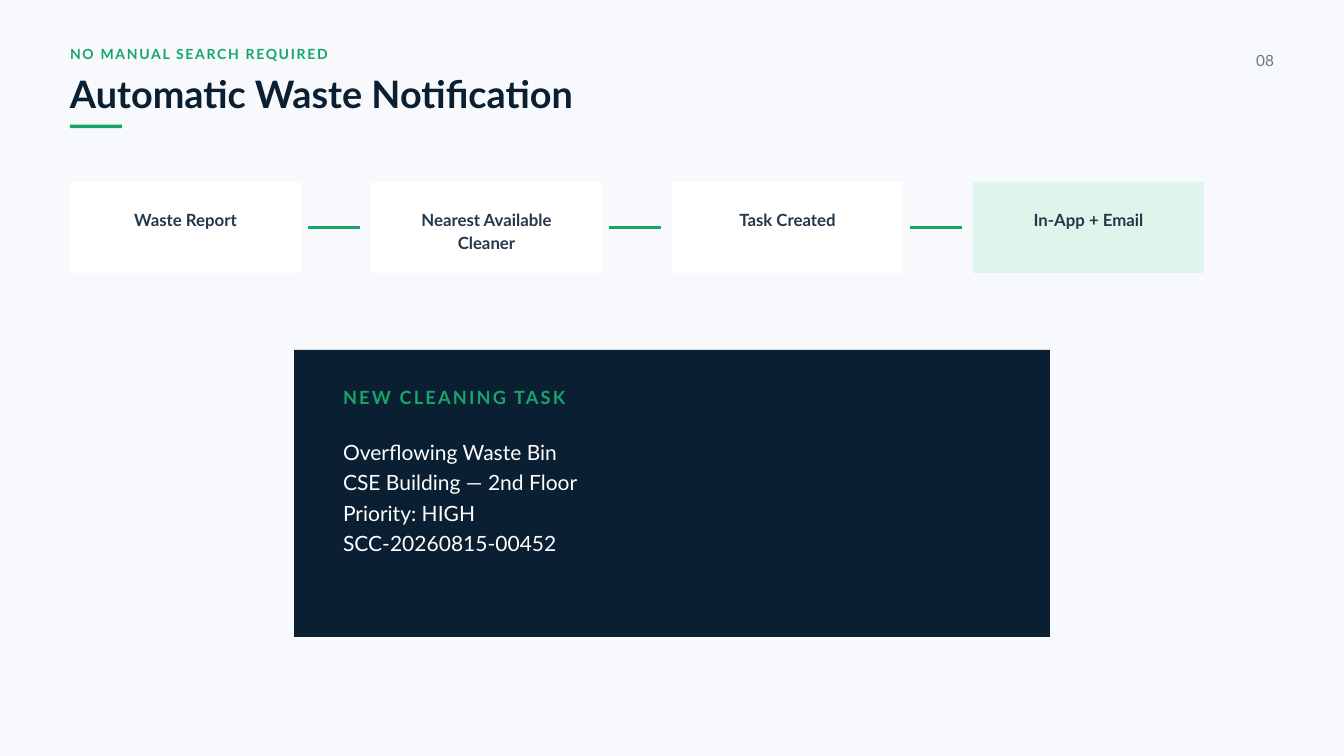
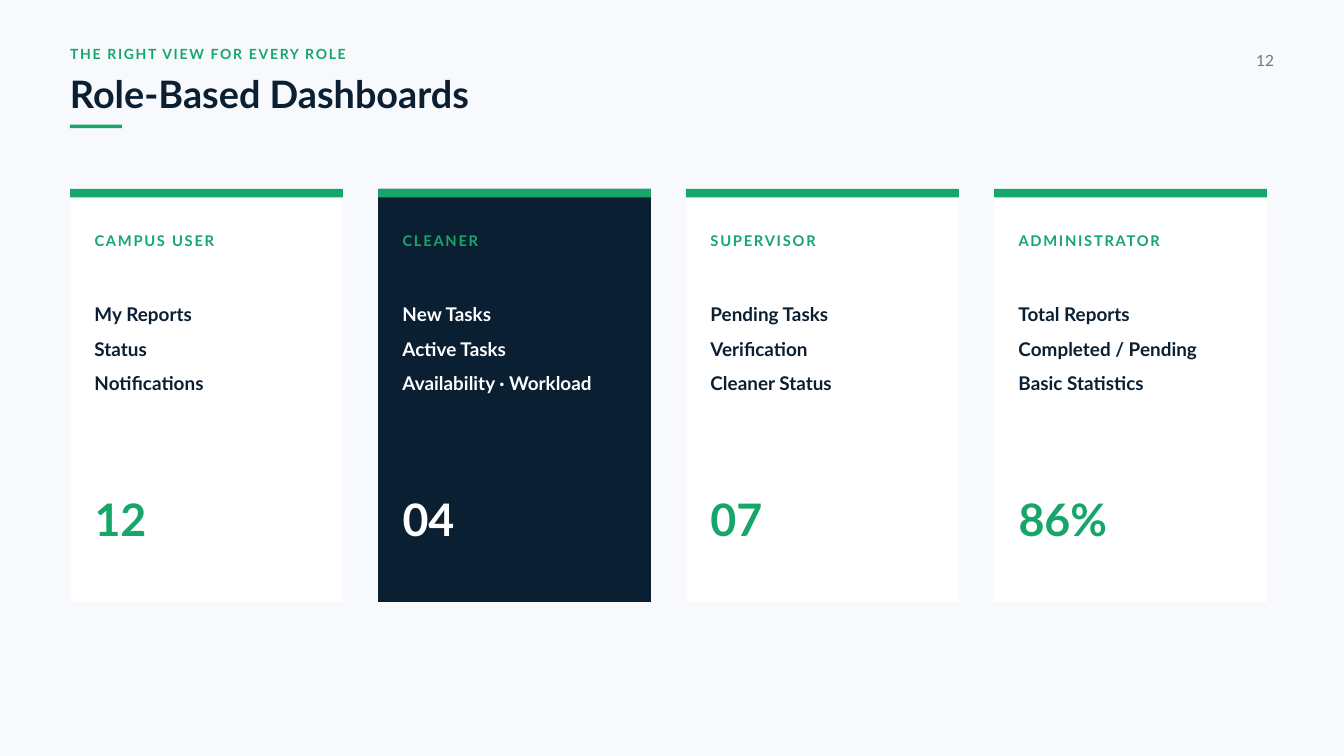
from collections import namedtuple

from pptx import Presentation
from pptx.dml.color import RGBColor
from pptx.enum.shapes import MSO_CONNECTOR as Connector, MSO_SHAPE as Preset
from pptx.enum.text import MSO_AUTO_SIZE as AutoSize, PP_ALIGN as Align
from pptx.oxml.ns import qn
from pptx.util import Pt
from lxml.etree import SubElement

FONT = "Lato"
GREEN, NAVY, WHITE = "16A66A", "0B1F33", "FFFFFF"
SLATE, GREY, MINT, PAPER = "24384B", "66788A", "DFF5EB", "F7F9FC"
LEFT = 75

Box = namedtuple("Box", "left top width height")
# size, leading (line distance) and tracking in points
Style = namedtuple("Style", "size leading bold tracking", defaults=(True, 0))

EYEBROW = Style(15, 21, tracking=1.8)
TITLE = Style(40.5, 42.5)
PAGE_NUMBER = Style(16.5, 22.3, bold=False)
STEP = Style(18, 24.3)
ALERT_HEAD = Style(19.5, 27.3, tracking=2.3)
ALERT_BODY = Style(22.5, 32.6, bold=False)
ROLE = Style(15.75, 22, tracking=1.9)
FEATURE = Style(20.25, 36.5)
FIGURE = Style(48, 67.2)

STEPS = [["Waste Report"], ["Nearest Available", "Cleaner"],
         ["Task Created"], ["In-App + Email"]]
ALERT = ["Overflowing Waste Bin", "CSE Building — 2nd Floor",
         "Priority: HIGH", "SCC-20260815-00452"]
ROLES = [
    ("CAMPUS USER", ["My Reports", "Status", "Notifications"], "12"),
    ("CLEANER", ["New Tasks", "Active Tasks", "Availability · Workload"], "04"),
    ("SUPERVISOR", ["Pending Tasks", "Verification", "Cleaner Status"], "07"),
    ("ADMINISTRATOR",
     ["Total Reports", "Completed / Pending", "Basic Statistics"], "86%"),
]


def color(code):
    return RGBColor.from_string(code)


def add_block(page, box, fill):
    block = page.shapes.add_shape(Preset.RECTANGLE, *map(Pt, box))
    block.shadow.inherit = False
    block.fill.solid()
    block.fill.fore_color.rgb = color(fill)
    block.line.fill.background()


def add_text(page, left, top, width, lines, style, ink, align=Align.LEFT):
    height = style.leading * len(lines)
    frame = page.shapes.add_textbox(
        Pt(left), Pt(top), Pt(width), Pt(height)).text_frame
    frame.margin_left = frame.margin_right = 0
    frame.margin_top = frame.margin_bottom = 0
    frame.word_wrap = True
    frame.auto_size = AutoSize.SHAPE_TO_FIT_TEXT
    for index, line in enumerate(lines):
        para = frame.add_paragraph() if index else frame.paragraphs[0]
        para.alignment = align
        para.line_spacing = Pt(style.leading)
        span = para.add_run()
        span.text = line
        span.font.name = FONT
        span.font.size = Pt(style.size)
        span.font.bold = style.bold
        span.font.color.rgb = color(ink)
        if style.tracking:
            span.font._element.set("spc", str(round(style.tracking * 100)))


def add_link(page, left, right, y):
    link = page.shapes.add_connector(
        Connector.STRAIGHT, Pt(left), Pt(y), Pt(right), Pt(y))
    link.line.color.rgb = color(GREEN)
    link.line.width = Pt(2.25)
    SubElement(link._element.spPr, qn("a:effectLst"))


def add_page(deck, eyebrow, title, number):
    """Add a slide with the shared background, heading and page number."""
    page = deck.slides.add_slide(deck.slide_layouts[6])
    page.background.fill.solid()
    page.background.fill.fore_color.rgb = color(PAPER)
    add_text(page, LEFT, 46, 600, [eyebrow], EYEBROW, GREEN)
    add_text(page, LEFT, 81.4, 1125, [title], TITLE, NAVY)
    add_block(page, Box(LEFT, 133.5, 55.5, 3.75), GREEN)
    add_text(page, 1305, 51.75, 60, [number], PAGE_NUMBER, GREY, Align.RIGHT)
    return page


def add_step(page, box, lines, fill):
    add_block(page, box, fill)
    add_text(page, box.left + 15, box.top + 27.5, box.width - 30,
             lines, STEP, SLATE, Align.CENTER)


def add_flow(page, box, gap):
    """Spread the steps over the box and link each one to the next."""
    count = len(STEPS)
    width = (box.width - gap * (count - 1)) / count
    for index, lines in enumerate(STEPS):
        left = box.left + index * (width + gap)
        last = index == count - 1
        add_step(page, Box(left, box.top, width, box.height), lines,
                 MINT if last else WHITE)
        if not last:
            start = left + width + 7.5
            add_link(page, start, start + 56.25, box.top + box.height / 2)


def add_alert(page, box):
    add_block(page, box, NAVY)
    left = box.left + 52.5
    add_text(page, left, box.top + 34.5, 525,
             ["NEW CLEANING TASK"], ALERT_HEAD, GREEN)
    add_text(page, left, box.top + 90, 600, ALERT, ALERT_BODY, WHITE)


def add_role_card(page, box, role, features, figure, dark):
    add_block(page, box, NAVY if dark else WHITE)
    add_block(page, box._replace(height=9), GREEN)
    left = box.left + 26.25
    add_text(page, left, box.top + 43, 240, [role], ROLE, GREEN)
    add_text(page, left, box.top + 110, 225, features, FEATURE,
             WHITE if dark else NAVY)
    add_text(page, left, box.top + 315, 187.5, [figure], FIGURE,
             WHITE if dark else GREEN)


def build_notification(deck):
    page = add_page(deck, "NO MANUAL SEARCH REQUIRED",
                    "Automatic Waste Notification", "08")
    add_flow(page, Box(LEFT, 195, 1215, 97.5), gap=75)
    add_alert(page, Box(315, 375, 810, 307.5))


def build_dashboards(deck):
    page = add_page(deck, "THE RIGHT VIEW FOR EVERY ROLE",
                    "Role-Based Dashboards", "12")
    for index, (role, features, figure) in enumerate(ROLES):
        box = Box(LEFT + index * 330, 202.5, 292.5, 442.5)
        add_role_card(page, box, role, features, figure,
                      dark=role == "CLEANER")


def main():
    deck = Presentation()
    deck.slide_width, deck.slide_height = Pt(1440), Pt(810)
    build_notification(deck)
    build_dashboards(deck)
    deck.save("out.pptx")


if __name__ == "__main__":
    main()
